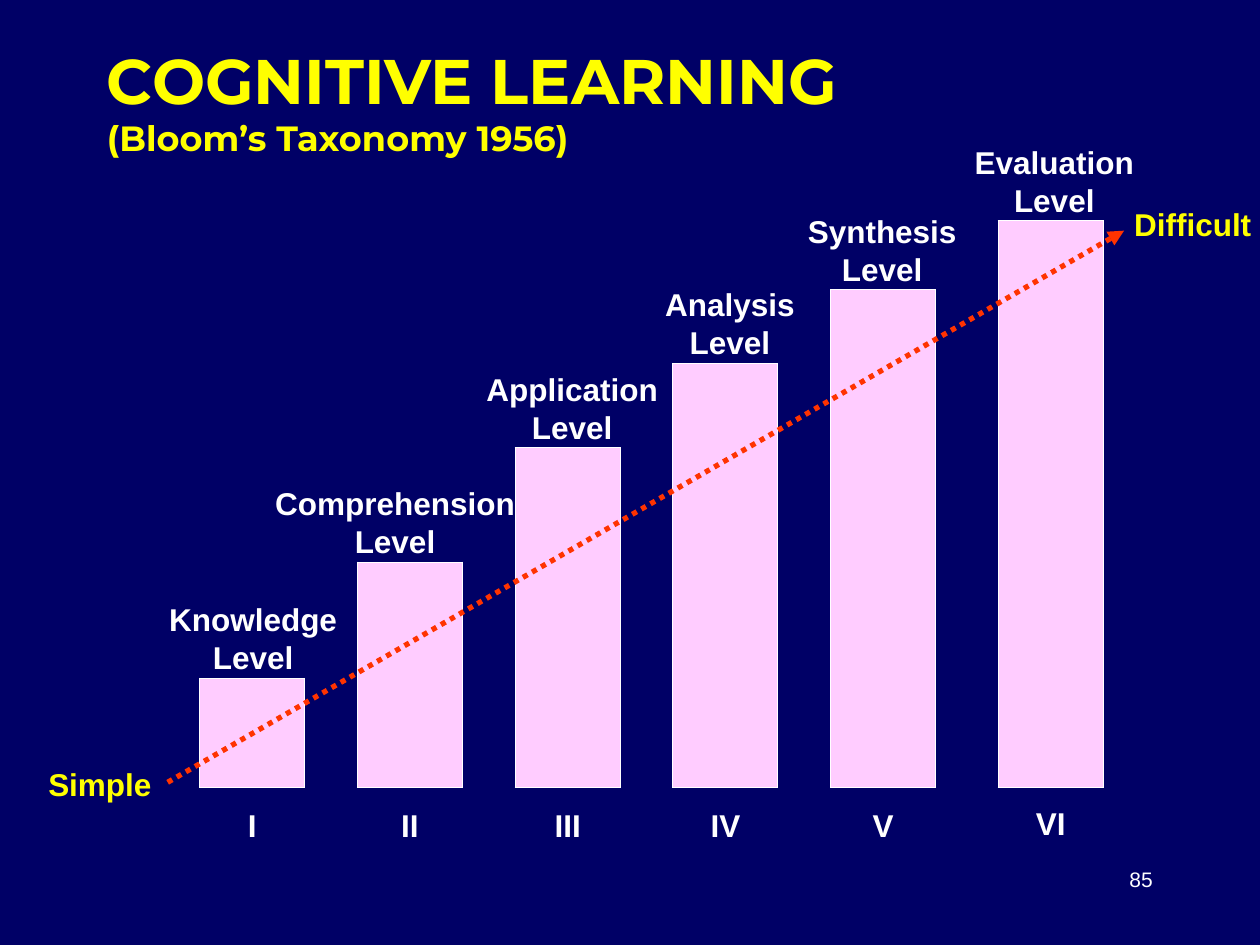
"""Build the Cognitive Learning slide: six rising bars for the levels of Bloom's taxonomy."""
from dataclasses import dataclass

from lxml import etree
from pptx import Presentation
from pptx.dml.color import RGBColor
from pptx.enum.dml import MSO_LINE
from pptx.enum.shapes import MSO_CONNECTOR
from pptx.enum.text import MSO_ANCHOR, MSO_AUTO_SIZE, PP_ALIGN
from pptx.oxml.ns import qn
from pptx.util import Cm, Pt

LEFT, CENTER, RIGHT = PP_ALIGN.LEFT, PP_ALIGN.CENTER, PP_ALIGN.RIGHT
MIDDLE = MSO_ANCHOR.MIDDLE
NO_FIT, GROW = MSO_AUTO_SIZE.NONE, MSO_AUTO_SIZE.SHAPE_TO_FIT_TEXT
STRAIGHT = MSO_CONNECTOR.STRAIGHT
DOTTED = MSO_LINE.ROUND_DOT

TITLE_ONLY = 5
BAR_LEFT, BAR_STEP, BAR_WIDTH, BASELINE = 4.02, 3.18, 2.12, 15.88
LABEL_RISE, LABEL_HEIGHT, LINE_HEIGHT = 1.69, 1.78, 1.02
NUMERAL_INSET, NUMERAL_WIDTH = 0.43, 1.27

# numeral, name, bar top, label left, label width, bar shift, numeral top
LEVELS = [
    ("I", "Knowledge", 13.67, 2.97, 4.27, 0, 16.13),
    ("II", "Comprehension", 11.33, 5.08, 5.77, 0, 16.13),
    ("III", "Application", 9.02, 9.53, 4.01, 0, 16.13),
    ("IV", "Analysis", 7.32, 12.9, 3.63, 0, 16.13),
    ("V", "Synthesis", 5.84, 15.88, 3.81, 0, 16.13),
    ("VI", "Evaluation", 4.45, 19.25, 4.01, 0.2, 16.08),
]


@dataclass(frozen=True)
class Theme:
    """Colours, fonts and type sizes of the slide."""
    background: str = "000066"
    accent: str = "FFFF00"
    text: str = "FFFFFF"
    bar: str = "FFCCFF"
    arrow: str = "FF3300"
    heading_font: str = "Montserrat"
    body_font: str = "Arial"
    title: int = 36
    subtitle: int = 20
    label: int = 18
    number: int = 12


def add_text(p, text, *, size, color, font, bold=True, align=CENTER):
    """Add a formatted run to a paragraph."""
    p.alignment = align
    r = p.add_run()
    r.text = text
    r.font.size = Pt(size)
    r.font.name = font
    r.font.bold = bold
    r.font.color.rgb = RGBColor.from_string(color)


class SlideBuilder:
    """Hold the theme and the current slide."""

    def __init__(self, slide, theme):
        """Keep the slide and paint its background."""
        self.slide, self.theme = slide, theme
        fill = slide.background.fill
        fill.solid()
        fill.fore_color.rgb = RGBColor.from_string(theme.background)

    def title(self, heading, subheading, left, top, width, height):
        """Fill the title placeholder with two lines."""
        t, sp = self.theme, self.slide.shapes.title
        sp.left, sp.top, sp.width, sp.height = map(Cm, (left, top, width, height))
        tf = sp.text_frame
        tf.word_wrap, tf.auto_size, tf.vertical_anchor = True, NO_FIT, MIDDLE
        p = tf.paragraphs[0]
        style = {"color": t.accent, "font": t.heading_font, "align": LEFT}
        add_text(p, heading, size=t.title, **style)
        p.add_line_break()
        add_text(p, subheading, size=t.subtitle, **style)

    def text(self, text, left, top, width, height, fit=GROW, **style):
        """Add a wrapping text box."""
        t = self.theme
        sp = self.slide.shapes.add_textbox(*map(Cm, (left, top, width, height)))
        tf = sp.text_frame
        tf.word_wrap, tf.auto_size = True, fit
        defaults = {"size": t.label, "color": t.text, "font": t.body_font}
        add_text(tf.paragraphs[0], text, **(defaults | style))

    def bar(self, left, top, width, height):
        """Add a bar as a one-cell table with a thin border."""
        frame = self.slide.shapes.add_table(1, 1, *map(Cm, (left, top, width, height)))
        table = frame.table
        table.first_row = table.horz_banding = False
        cell = table.cell(0, 0)
        tc_pr = cell._tc.get_or_add_tcPr()
        for side in ("a:lnL", "a:lnR", "a:lnT", "a:lnB"):
            ln = etree.SubElement(tc_pr, qn(side), w=str(Pt(0.45)))
            fill = etree.SubElement(ln, qn("a:solidFill"))
            etree.SubElement(fill, qn("a:srgbClr"), val=self.theme.text)
        cell.fill.solid()
        cell.fill.fore_color.rgb = RGBColor.from_string(self.theme.bar)

    def arrow(self, x1, y1, x2, y2):
        """Add a dotted line ending in a triangle."""
        sp = self.slide.shapes.add_connector(STRAIGHT, *map(Cm, (x1, y1, x2, y2)))
        sp.line.color.rgb = RGBColor.from_string(self.theme.arrow)
        sp.line.width = Pt(3)
        sp.line.dash_style = DOTTED
        etree.SubElement(sp.line._get_or_add_ln(), qn("a:tailEnd"), type="triangle")
        etree.SubElement(sp._element.spPr, qn("a:effectLst"))


def main():
    """Create and save the presentation."""
    prs = Presentation()
    prs.slide_width, prs.slide_height = Cm(25.4), Cm(19.05)
    theme = Theme()
    s = SlideBuilder(prs.slides.add_slide(prs.slide_layouts[TITLE_ONLY]), theme)
    s.title("COGNITIVE LEARNING", "(Bloom’s Taxonomy 1956)", 1.9, 0.43, 21.59, 3.18)

    for i, level in reversed(list(enumerate(LEVELS))):
        numeral, name, top, label_left, label_width, shift, numeral_top = level
        left = BAR_LEFT + i * BAR_STEP + shift
        s.bar(left, top, BAR_WIDTH, BASELINE - top)
        s.text(f"{name} Level", label_left, top - LABEL_RISE, label_width, LABEL_HEIGHT)
        s.text(numeral, left + NUMERAL_INSET, numeral_top, NUMERAL_WIDTH, LINE_HEIGHT)

    s.arrow(3.38, 15.77, 22.66, 4.65)
    s.text("Simple", 0.2, 15.29, 3.63, LINE_HEIGHT, color=theme.accent)
    s.text("Difficult", 22.23, 4.01, 3.63, LINE_HEIGHT, color=theme.accent)
    s.text("85", 18.21, 17.35, 5.28, 1.27, fit=NO_FIT,
           size=theme.number, bold=False, align=RIGHT)
    prs.save("out.pptx")


if __name__ == "__main__":
    main()
